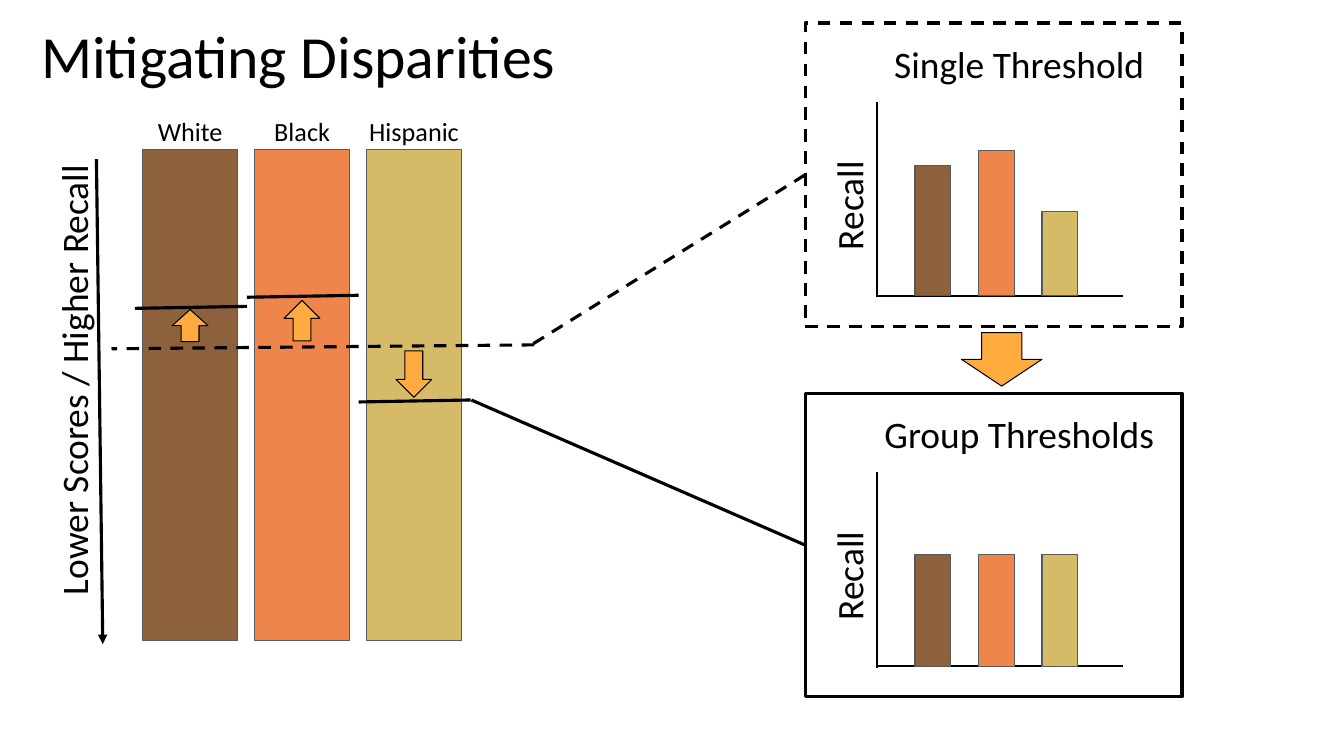
from dataclasses import dataclass

import pptx
import pptx.util
import pptx.dml.color
import pptx.enum.dml
import pptx.enum.shapes
import pptx.enum.text
import pptx.oxml.ns
from lxml import etree

Cm = pptx.util.Cm
Pt = pptx.util.Pt
SHAPE = pptx.enum.shapes.MSO_SHAPE
ALIGN = pptx.enum.text.PP_ALIGN
DASH = pptx.enum.dml.MSO_LINE.DASH


@dataclass(frozen=True)
class Theme:
    font: str = "Calibri"
    ink: str = "000000"
    bar_edge: str = "595959"
    arrow: str = "FFAB40"
    groups: tuple = ("8C613C", "EE854A", "D5BB67")
    title: float = 42.7
    body: float = 26.7
    label: float = 18.7
    thin: float = 0.75
    axis: float = 1.5
    thick: float = 2.25


THEME = Theme()


def rgb(color):
    return pptx.dml.color.RGBColor.from_string(color)


def set_line(line, color, width, dashed=False):
    line.color.rgb = rgb(color)
    line.width = Pt(width)
    if dashed:
        line.dash_style = DASH


def add_box(slide, kind, box, fill=None, edge=THEME.ink, width=THEME.thin, dashed=False):
    sp = slide.shapes.add_shape(kind, *map(Cm, box))
    sp.shadow.inherit = False
    if fill:
        sp.fill.solid()
        sp.fill.fore_color.rgb = rgb(fill)
    else:
        sp.fill.background()
    set_line(sp.line, edge, width, dashed)
    return sp


def add_bar(slide, box, color):
    return add_box(slide, SHAPE.RECTANGLE, box, color, THEME.bar_edge)


def add_line(slide, start, end, width=THEME.thick, dashed=False):
    kind = pptx.enum.shapes.MSO_CONNECTOR.STRAIGHT
    line = slide.shapes.add_connector(kind, *map(Cm, (*start, *end)))
    set_line(line.line, THEME.ink, width, dashed)
    etree.SubElement(line._element.spPr, pptx.oxml.ns.qn("a:effectLst"))
    return line


def add_text(slide, box, text, size, align=ALIGN.CENTER, rotation=0):
    sp = slide.shapes.add_textbox(*map(Cm, box))
    sp.rotation = rotation
    tf = sp.text_frame
    tf.word_wrap = True
    tf.margin_left = tf.margin_right = tf.margin_top = tf.margin_bottom = Cm(0.33)
    tf.text = text
    p = tf.paragraphs[0]
    p.alignment = align
    font = p.runs[0].font
    font.name, font.size, font.color.rgb = THEME.font, Pt(size), rgb(THEME.ink)


def add_score_columns(slide, box):
    """Three group columns with the score axis and the shared dashed threshold."""
    x, y, width, height = box
    bar_w = 2.39
    pitch = (width - bar_w) / 2
    labels = (("White", 2.39), ("Black", 2.39), ("Hispanic", 3.02))
    for i, ((name, label_w), color) in enumerate(zip(labels, THEME.groups)):
        left = x + i * pitch
        add_bar(slide, (left, y, bar_w, height), color)
        add_text(slide, (left + (bar_w - label_w) / 2, y - 1.19, label_w, 1.6),
                 name, THEME.label)
    axis = add_line(slide, (x - 1.17, y + 0.25), (x - 1.01, y + 12.47))
    etree.SubElement(axis.line._get_or_add_ln(), pptx.oxml.ns.qn("a:tailEnd"),
                     type="triangle")
    add_text(slide, (x - 7.77, y + 5.08, 11.71, 1.47), "Lower Scores / Higher Recall",
             THEME.body, rotation=270)
    add_line(slide, (x + 9.86, y + 4.93), (x - 0.79, y + 5.03), dashed=True)


def add_group_thresholds(slide, box):
    """One threshold mark per column, with an arrow showing which way it moved."""
    x, y, width, _ = box
    pitch = (width - 2.39) / 2
    # mark level, arrow top, arrow height, arrow rotation
    moves = ((4.01, 4.04, 0.81, 180), (3.73, 3.81, 1.02, 180), (6.37, 5.08, 1.17, 0))
    for i, (level, top, length, rotation) in enumerate(moves):
        left = x + i * pitch
        add_line(slide, (left - 0.2, y + level), (left - 0.2 + pitch, y + level - 0.05))
        arrow = add_box(slide, SHAPE.DOWN_ARROW, (left + 0.74, y + top, 0.9, length),
                        THEME.arrow)
        arrow.rotation = rotation


def add_recall_panel(slide, box, title, recalls, dashed=False):
    """Framed bar sketch; returns the frame so that lines can join it."""
    x, y, _, _ = box
    axis_x, base = x + 1.8, y + 6.88
    frame = add_box(slide, SHAPE.RECTANGLE, box, width=THEME.thick, dashed=dashed)
    add_line(slide, (axis_x, y + 1.98), (axis_x, base + 0.03), THEME.axis)
    add_line(slide, (axis_x, base), (x + 8, base), THEME.axis)
    for i, (recall, color) in enumerate(zip(recalls, THEME.groups)):
        add_bar(slide, (x + 2.77 + 1.6 * i, base - recall, 0.9, recall), color)
    add_text(slide, (x - 0.1, y + 3.12, 3.23, 2.64), "Recall", THEME.body,
             ALIGN.LEFT, 270)
    add_text(slide, (x + 1.27, y + 0.13, 8.26, 1.6), title, THEME.body)
    return frame


def main():
    prs = pptx.Presentation()
    prs.slide_width, prs.slide_height = Cm(33.87), Cm(19.05)
    slide = prs.slides.add_slide(prs.slide_layouts[6])

    columns = (3.6, 3.76, 8.03, 12.37)
    add_score_columns(slide, columns)
    add_text(slide, (0.71, 0.15, 32.49, 2.82), "Mitigating Disparities", THEME.title,
             ALIGN.LEFT)
    single = add_recall_panel(slide, (20.29, 0.58, 9.5, 7.65), "Single Threshold",
                              (3.3, 3.66, 2.13), dashed=True)
    group = add_recall_panel(slide, (20.29, 9.91, 9.5, 7.65), "Group Thresholds",
                             (2.82, 2.82, 2.82))
    add_box(slide, SHAPE.DOWN_ARROW, (24.23, 8.38, 2.03, 1.35), THEME.arrow)
    add_group_thresholds(slide, columns)

    for frame, start, dashed in ((single, (13.44, 8.66), True),
                                 (group, (11.88, 10.08), False)):
        link = add_line(slide, start, (20.29, 10), dashed=dashed)
        link.end_connect(frame, 1)

    prs.save("out.pptx")


if __name__ == "__main__":
    main()
